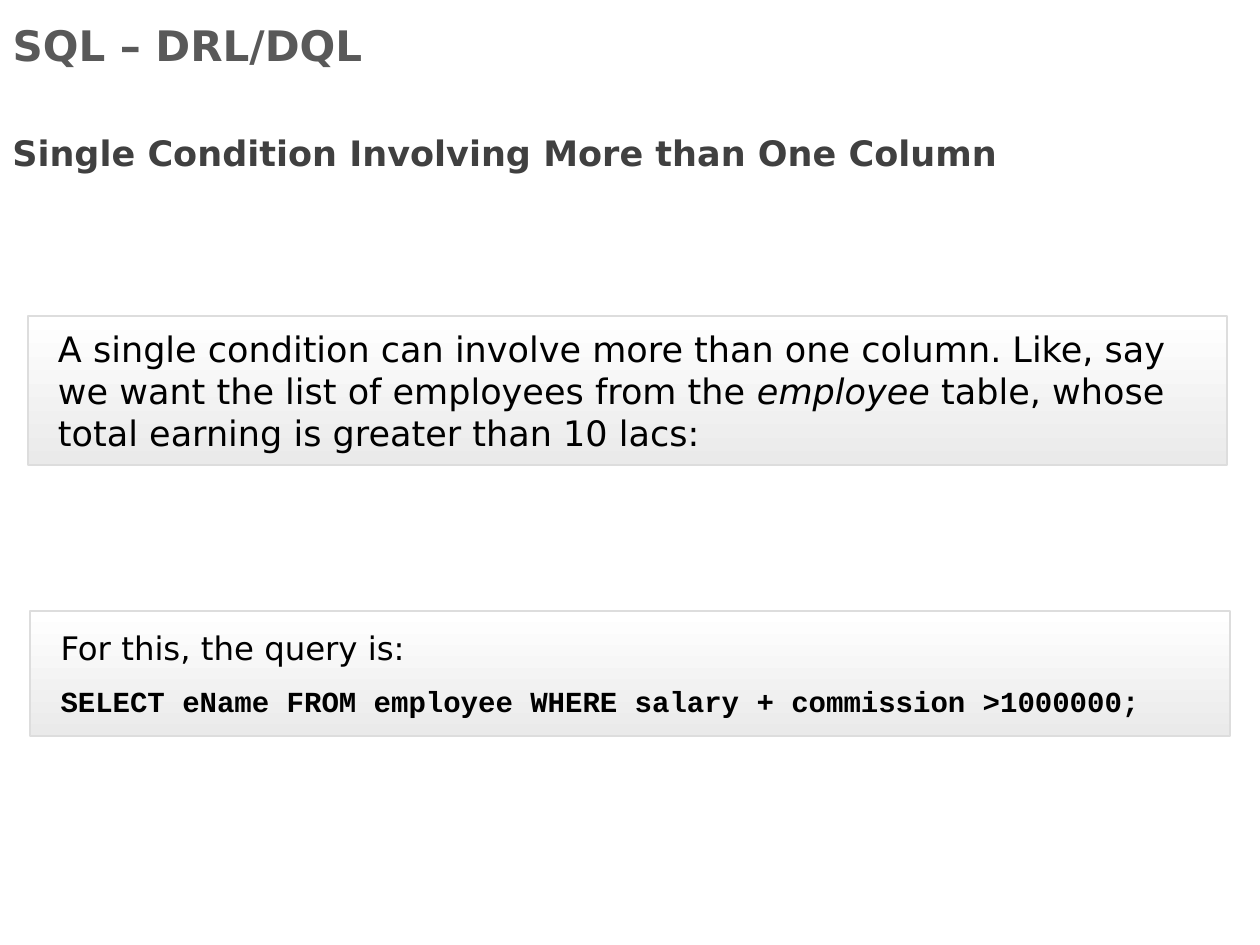
from pptx import Presentation
from pptx.dml.color import RGBColor
from pptx.enum.shapes import MSO_SHAPE
from pptx.enum.text import MSO_ANCHOR, MSO_AUTO_SIZE, PP_ALIGN
from pptx.util import Inches, Pt

COLORS = {
    "title": "595959",
    "heading": "404040",
    "body": "000000",
    "top": "FFFFFF",
    "bottom": "EAEAEA",
    "border": "DDDDDD",
}
SANS, MONO = "DejaVu Sans", "Courier New"


def color(name):
    return RGBColor.from_string(COLORS[name])


class Page:
    def __init__(self, deck):
        self.slide = deck.slides.add_slide(deck.slide_layouts[5])

    def add_run(self, para, text, size, tone="body", face=SANS, bold=False, italic=False):
        run = para.add_run()
        run.text = text
        font = run.font
        font.name, font.size = face, Pt(size)
        font.bold, font.italic = bold, italic
        font.color.rgb = color(tone)

    def add_title(self, text, left, top, width, height):
        title = self.slide.shapes.title
        title.left, title.top = Inches(left), Inches(top)
        title.width, title.height = Inches(width), Inches(height)
        frame = title.text_frame
        frame.auto_size = MSO_AUTO_SIZE.NONE
        frame.vertical_anchor = MSO_ANCHOR.MIDDLE
        para = frame.paragraphs[0]
        para.alignment = PP_ALIGN.LEFT
        self.add_run(para, text, 24, "title", bold=True)

    def add_heading(self, text, left, top, width, height):
        box = self.slide.shapes.add_textbox(
            Inches(left), Inches(top), Inches(width), Inches(height))
        frame = box.text_frame
        frame.word_wrap = True
        frame.auto_size = MSO_AUTO_SIZE.SHAPE_TO_FIT_TEXT
        para = frame.paragraphs[0]
        para.line_spacing = 1.5
        self.add_run(para, text, 20, "heading", bold=True)

    def add_panel(self, left, top, width, height, right=0.24):
        """Add a shaded box and return its empty text frame."""
        panel = self.slide.shapes.add_shape(
            MSO_SHAPE.RECTANGLE,
            Inches(left), Inches(top), Inches(width), Inches(height))
        panel.shadow.inherit = False
        panel.fill.gradient()
        panel.fill.gradient_angle = 270
        for stop, place, tone in zip(panel.fill.gradient_stops, (0, 1), ("top", "bottom")):
            stop.position = place
            stop.color.rgb = color(tone)
        panel.line.color.rgb = color("border")
        panel.line.width = Pt(1)
        frame = panel.text_frame
        frame.word_wrap = True
        frame.vertical_anchor = MSO_ANCHOR.MIDDLE
        frame.margin_left, frame.margin_right = Inches(0.24), Inches(right)
        frame.margin_top = frame.margin_bottom = 0
        frame.paragraphs[0].alignment = PP_ALIGN.LEFT
        return frame


def main():
    deck = Presentation()
    deck.slide_width, deck.slide_height = Inches(10), Inches(7.5)
    page = Page(deck)
    page.add_title("SQL – DRL/DQL", 0, 0.14, 9, 0.43)
    page.add_heading("Single Condition Involving More than One Column", 0, 0.83, 10, 0.6)

    intro = page.add_panel(0.22, 2.51, 9.52, 1.18).paragraphs[0]
    page.add_run(intro, "A single condition can involve more than one column. Like, say "
                        "we want the list of employees from the ", 20)
    page.add_run(intro, "employee ", 20, italic=True)
    page.add_run(intro, "table, whose total earning is greater than 10 lacs:", 20)

    query = page.add_panel(0.24, 4.85, 9.52, 0.99, right=0)
    lead = query.paragraphs[0]
    lead.alignment = PP_ALIGN.JUSTIFY
    page.add_run(lead, "For this, the query is:", 18.5)
    code = query.add_paragraph()
    code.alignment = PP_ALIGN.LEFT
    code.line_spacing = 0.9
    code.space_before = Pt(12)
    page.add_run(code, "SELECT eName FROM employee WHERE salary + commission >1000000;",
                 16.6, face=MONO, bold=True)

    deck.save("out.pptx")


if __name__ == "__main__":
    main()
